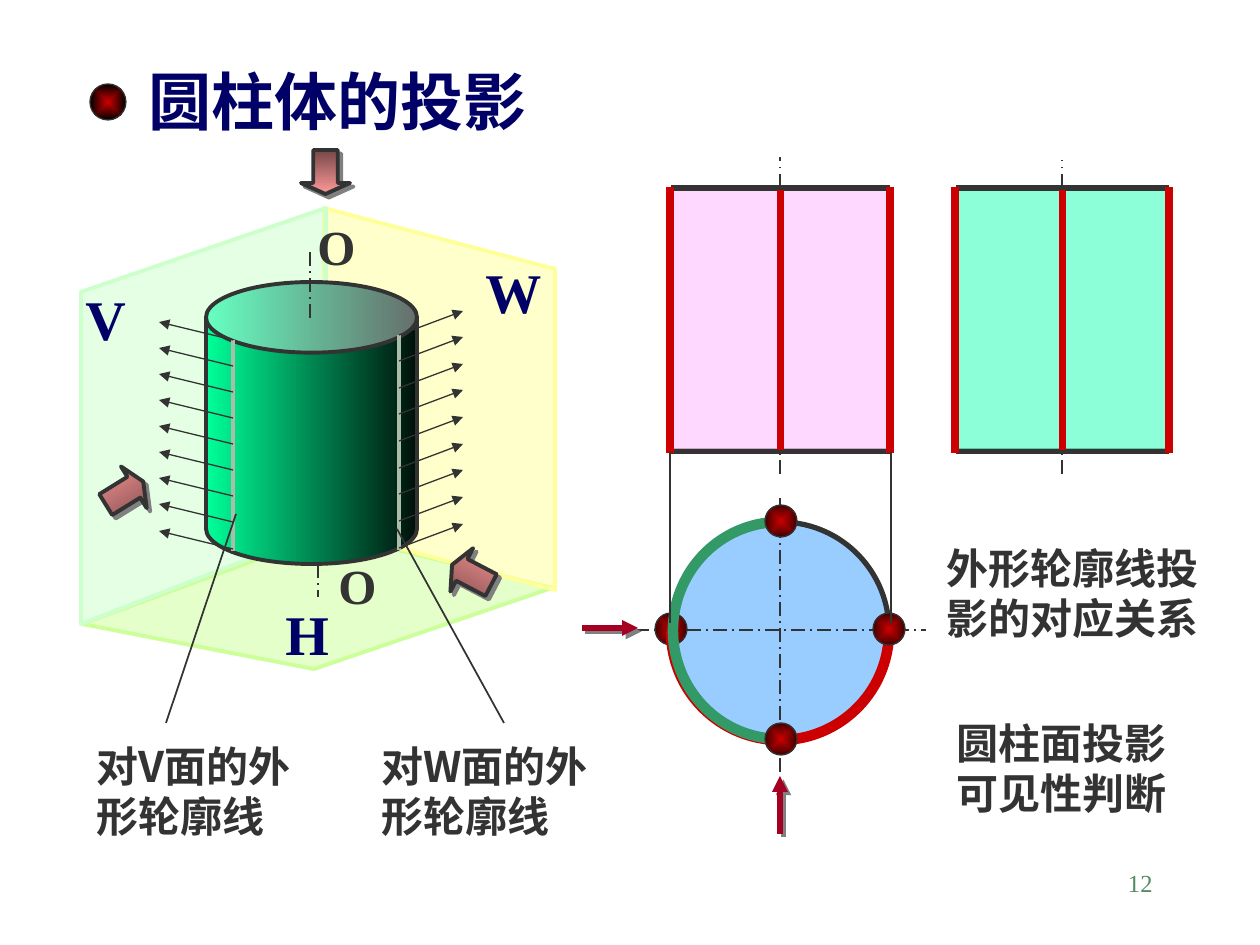
from dataclasses import dataclass

from lxml.etree import SubElement
from pptx import Presentation
from pptx.dml.color import RGBColor
from pptx.enum.dml import MSO_LINE
from pptx.enum.shapes import MSO_CONNECTOR, MSO_SHAPE
from pptx.enum.text import MSO_ANCHOR, MSO_AUTO_SIZE, PP_ALIGN
from pptx.oxml.ns import qn
from pptx.util import Pt

EMU_PER_PX = 914400 / 126


@dataclass(frozen=True)
class Theme:
    ink: str = "333333"
    navy: str = "000066"
    number: str = "578963"
    red: str = "CC0000"
    green: str = "339966"
    crimson: str = "A50021"
    generator: str = "A9BDA9"
    shadow: str = "808080"
    plane_h: str = "CCFF99"
    plane_v: str = "CCFFCC"
    plane_w: str = "FFFF99"
    front: str = "FFCCFF"
    side: str = "66FFCC"
    top: str = "99CCFF"
    dot: tuple = ("CC0000", "400000")
    bullet: tuple = ("CC0000", "000000")
    cylinder: tuple = ("00FF99", "00100A")
    arrow: tuple = ("764747", "FF9999")
    serif: str = "Times New Roman"
    sans: str = "Noto Sans CJK SC"
    title_size: int = 36
    plane_size: int = 32
    axis_size: int = 28
    body_size: int = 24
    number_size: int = 14


THEME = Theme()


def px(*lengths):
    return [round(length * EMU_PER_PX) for length in lengths]


class Drawing:
    def __init__(self, slide, theme):
        self.slide = slide
        self.shapes = slide.shapes
        self.theme = theme

    def _stroke(self, line, color, width, dash=None):
        line.color.rgb = RGBColor.from_string(color)
        line.width = Pt(width)
        if dash:
            line.dash_style = dash

    def _solid(self, shape, color, alpha=100):
        shape.fill.solid()
        shape.fill.fore_color.rgb = RGBColor.from_string(color)
        if alpha < 100:
            node = shape.fill._xPr.find(qn("a:solidFill"))[0]
            SubElement(node, qn("a:alpha"), val=str(alpha * 1000))

    def _gradient(self, shape, colors, angle):
        """An angle of None gives a gradient from the centre outwards."""
        fill = shape.fill
        fill.gradient()
        for stop, color, position in zip(fill.gradient_stops, colors, (0, 1)):
            stop.color.rgb = RGBColor.from_string(color)
            stop.position = position
        if angle is not None:
            fill.gradient_angle = angle
            return
        node = fill._xPr.find(qn("a:gradFill"))
        node.remove(node.find(qn("a:lin")))
        center = SubElement(node, qn("a:path"), path="shape")
        SubElement(center, qn("a:fillToRect"), l="50000", t="50000", r="50000", b="50000")

    def _drop_shadow(self, effects):
        shadow = SubElement(effects, qn("a:outerShdw"), dist=str(Pt(2.8)), dir="2700000")
        SubElement(shadow, qn("a:srgbClr"), val=self.theme.shadow)

    def shape(self, kind, box, fill=None, line=None, width=0.75, angle=None,
              alpha=100, adjust=(), rotation=0, shadow=False):
        shape = self.shapes.add_shape(kind, *px(*box))
        shape.shadow.inherit = False
        shape.rotation = rotation
        for index, value in enumerate(adjust):
            shape.adjustments[index] = value
        if fill is None:
            shape.fill.background()
        elif isinstance(fill, tuple):
            self._gradient(shape, fill, angle)
        else:
            self._solid(shape, fill, alpha)
        self._stroke(shape.line, line or self.theme.ink, width)
        if shadow:
            self._drop_shadow(shape._element.spPr.find(qn("a:effectLst")))
        return shape

    def dot(self, x, y, radius=16, colors=None):
        box = (x - radius, y - radius, 2 * radius, 2 * radius)
        self.shape(MSO_SHAPE.OVAL, box, colors or self.theme.dot)

    def plane(self, points, color):
        points = [px(*point) for point in points]
        builder = self.shapes.build_freeform(*points[0])
        builder.add_line_segments(points[1:], close=True)
        shape = builder.convert_to_shape()
        shape.shadow.inherit = False
        self._solid(shape, color, 50)
        self._stroke(shape.line, color, 2.25)

    def line(self, start, end, color=None, width=1, dash=None, head=False, shadow=False):
        connector = self.shapes.add_connector(MSO_CONNECTOR.STRAIGHT, *px(*start, *end))
        self._stroke(connector.line, color or self.theme.ink, width, dash)
        properties = connector._element.spPr
        if head:
            SubElement(properties.find(qn("a:ln")), qn("a:tailEnd"), type="triangle")
        effects = SubElement(properties, qn("a:effectLst"))
        if shadow:
            self._drop_shadow(effects)
        return connector

    def axis(self, start, end):
        self.line(start, end, dash=MSO_LINE.LONG_DASH_DOT)

    def text(self, box, lines, size, color=None, font=None, bold=True, wrap=True,
             align=PP_ALIGN.LEFT, spacing=None, holder=None):
        shape = holder or self.shapes.add_textbox(*px(*box))
        shape.left, shape.top, shape.width, shape.height = px(*box)
        frame = shape.text_frame
        frame_format = {"word_wrap": wrap, "auto_size": MSO_AUTO_SIZE.NONE,
                        "vertical_anchor": MSO_ANCHOR.TOP}
        for name, value in frame_format.items():
            setattr(frame, name, value)
        frame.text = "\n".join(lines)
        font_format = {"name": font or self.theme.serif, "size": Pt(size), "bold": bold}
        for paragraph in frame.paragraphs:
            paragraph.alignment = align
            if spacing:
                paragraph.line_spacing = Pt(spacing)
            run = paragraph.runs[0]
            for name, value in font_format.items():
                setattr(run.font, name, value)
            run.font.color.rgb = RGBColor.from_string(color or self.theme.ink)
            SubElement(run._r.get_or_add_rPr(), qn("a:ea"), typeface=self.theme.sans)

    def view(self, left, width, color):
        """Rectangular view with black ends and red contour lines."""
        top, bottom, right = 188, 451, left + width
        for y in (top, bottom):
            self.line((left, y), (right, y), width=3)
        rectangle = self.shape(MSO_SHAPE.RECTANGLE, (left, 190, width, 260), color, alpha=75)
        for x in (left - 1, right):
            self.line((x, 187), (x, 453), self.theme.red, 5)
        middle = self.line((left, top), (left, bottom), self.theme.red, 4.5)
        middle.begin_connect(rectangle, 0)
        middle.end_connect(rectangle, 2)


def main():
    presentation = Presentation()
    presentation.slide_width, presentation.slide_height = px(1260, 945)
    slide = presentation.slides.add_slide(presentation.slide_layouts[5])
    drawing = Drawing(slide, THEME)

    # Title and slide number
    drawing.text((136, 56, 587, 88), ["圆柱体的投影"], THEME.title_size, THEME.navy, THEME.sans,
                 spacing=43.2, holder=slide.shapes.title)
    drawing.dot(108, 102, 18, THEME.bullet)
    drawing.text((903, 862, 262, 63), ["12"], THEME.number_size, THEME.number,
                 bold=False, align=PP_ALIGN.RIGHT)

    # Projection planes
    drawing.plane([(329, 533), (82, 624), (314, 669), (552, 588)], THEME.plane_h)
    drawing.plane([(324, 208), (324, 528), (555, 590), (555, 269)], THEME.plane_w)
    drawing.plane([(81, 292), (326, 208), (326, 529), (81, 624)], THEME.plane_v)
    for letter, x, y, width in (("V", 73, 278, 66), ("W", 473, 251, 82), ("H", 273, 593, 69)):
        drawing.text((x, y, width, 79), [letter], THEME.plane_size, THEME.navy, wrap=False)

    # Cylinder and its axis
    drawing.shape(MSO_SHAPE.CAN, (206, 282, 211, 282), THEME.cylinder, width=2.25,
                  angle=0, adjust=(0.335,))
    drawing.axis((310, 318), (310, 251))
    drawing.axis((318, 564), (318, 597))
    for x, y in ((305, 210), (326, 549)):
        drawing.text((x, y, 63, 72), ["O"], THEME.axis_size, wrap=False)

    # Viewing directions
    pink_first = THEME.arrow[::-1]
    for x, y, rotation, colors, angle in ((301, 150, 0, THEME.arrow, 270),
                                          (447, 553, 117.6, pink_first, 0),
                                          (100, 471, 238.3, THEME.arrow, 0)):
        drawing.shape(MSO_SHAPE.DOWN_ARROW, (x, y, 49, 44), colors, width=2.25, angle=angle,
                      adjust=(0.5, 0.25), rotation=rotation, shadow=True)

    # Contour generators with their projecting rays
    for x, top, bottom, run, rise in ((233, 340, 549, -74, 18), (399, 335, 548, 64, 24)):
        drawing.line((x, top), (x, bottom + 2), THEME.generator, 2.25)
        for index in range(9):
            y = top + (bottom - top) * index // 8
            drawing.line((x, y), (x + run, y - rise), width=0.75, head=True)
    drawing.line((236, 514), (166, 723))
    drawing.line((397, 529), (504, 723))

    # Top view
    center_x, center_y, radius = 780, 630, 109
    drawing.shape(MSO_SHAPE.OVAL, (672, 522, 217, 217), THEME.top, width=3)
    drawing.axis((635, center_y), (926, center_y))
    drawing.axis((center_x, 498), (center_x, 776))
    drawing.line((center_x, 834), (center_x, 776), THEME.crimson, 3, head=True, shadow=True)
    drawing.line((582, 628), (638, 628), THEME.crimson, 3, head=True, shadow=True)
    drawing.dot(center_x - radius, 629)
    # Arc adjustments are angles in steps of 5/3 degree
    for box, start, end, color in (((671, 522, 218, 218), 0, 180, THEME.red),
                                   ((673, 522, 214, 217), 90, 270, THEME.green)):
        drawing.shape(MSO_SHAPE.ARC, box, line=color, width=6,
                      adjust=(start * 0.6, end * 0.6))
    drawing.dot(center_x + radius, 629)
    for y in (center_y - radius, center_y + radius):
        drawing.dot(center_x + 1, y)

    # Front and side views with projection lines
    for x, top in ((780, 157), (1062, 160)):
        drawing.axis((x, 474), (x, top))
    drawing.view(671, 219, THEME.front)
    drawing.view(956, 213, THEME.side)
    for x in (670, 891):
        drawing.line((x, 623), (x, 452))

    # Captions
    for x, y, width, font, lines in (
        (84, 734, 251, THEME.sans, ["对V面的外", "形轮廓线"]),
        (369, 734, 291, THEME.sans, ["对W面的外", "形轮廓线"]),
        (934, 536, 307, THEME.serif, ["外形轮廓线投", "影的对应关系"]),
        (944, 711, 284, THEME.serif, ["圆柱面投影", "可见性判断"]),
    ):
        drawing.text((x, y, width, 113), lines, THEME.body_size, font=font, spacing=28.8)

    presentation.save("out.pptx")


if __name__ == "__main__":
    main()
